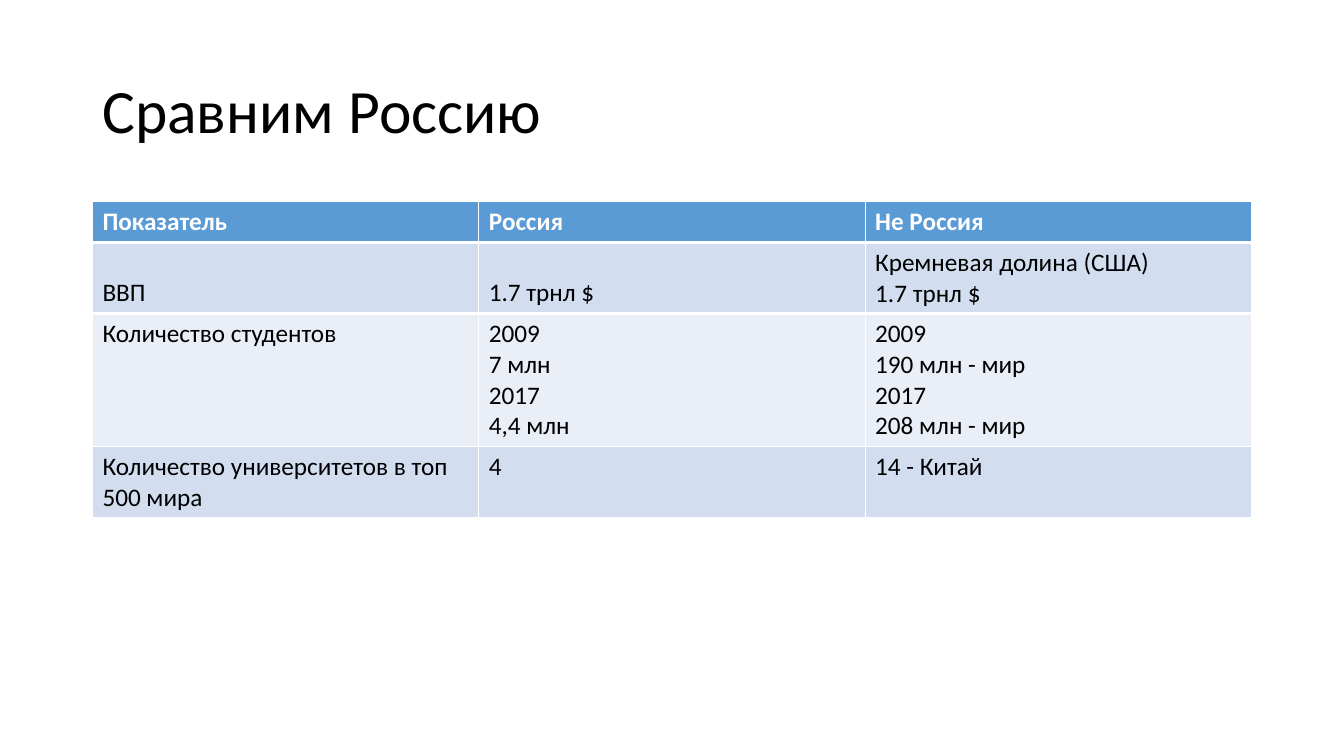
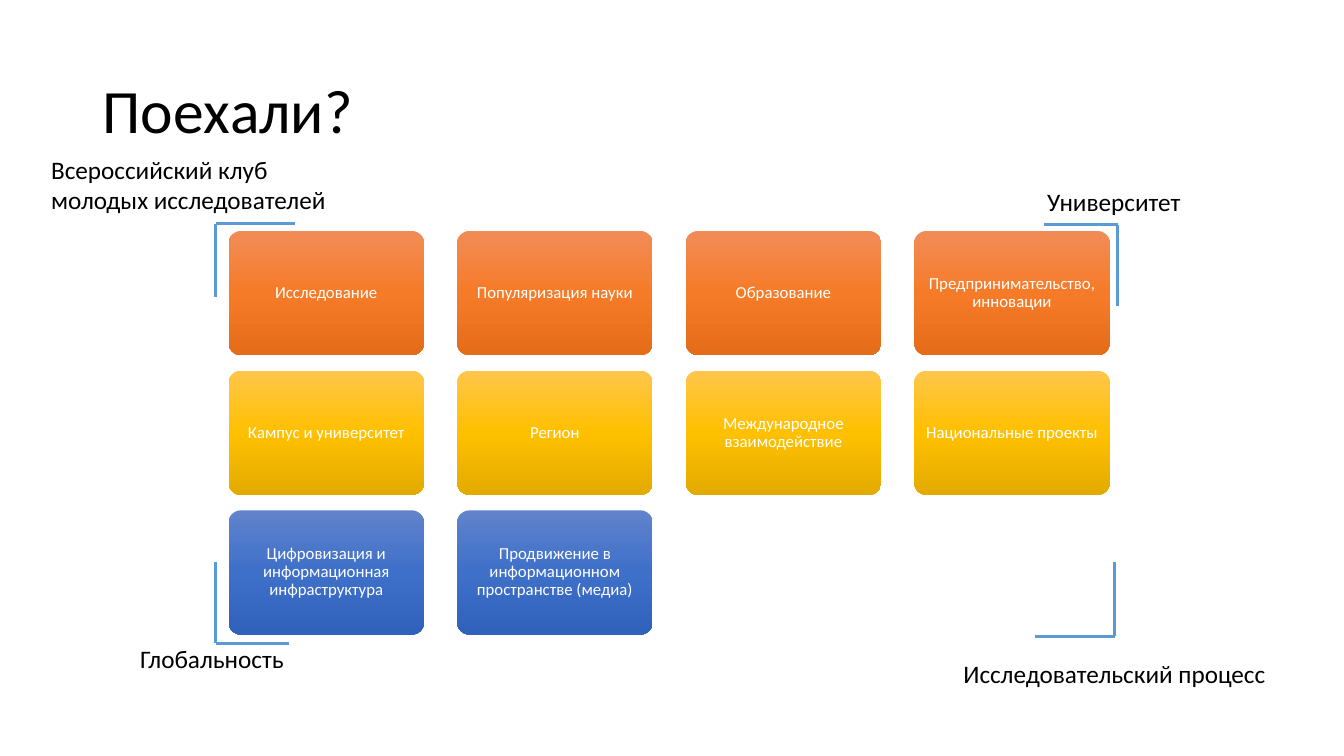
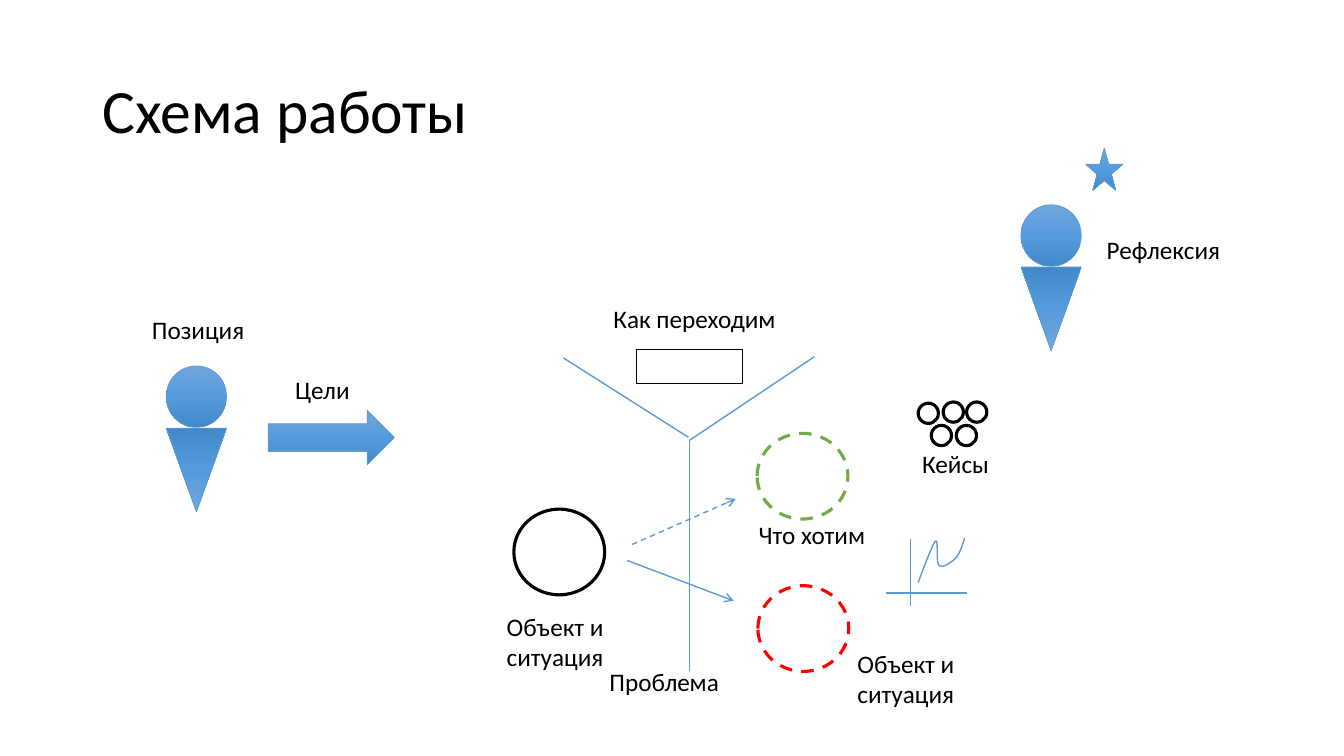
"""Build three slides: a comparison table, a grid of topics and a working scheme."""
import copy

import lxml.etree
import pptx
import pptx.dml.color
import pptx.enum.dml
import pptx.enum.shapes
import pptx.enum.text
import pptx.util
from pptx.oxml.ns import qn

Cm, Pt = pptx.util.Cm, pptx.util.Pt
SHAPE = pptx.enum.shapes.MSO_SHAPE
ANCHOR = pptx.enum.text.MSO_ANCHOR
ALIGN = pptx.enum.text.PP_ALIGN

FONT = "Calibri"
BLACK, WHITE, BLUE, RED, GREEN = "000000", "FFFFFF", "5B9BD5", "FF0000", "70AD47"
BLUE_FADE = ("71A6DB", "559BDB", "448ACA")

TITLES = ["Сравним Россию", "Поехали?", "Схема работы"]

TABLE_ROWS = [
    ["Показатель", "Россия", "Не Россия"],
    ["ВВП", "1.7 трнл $", "Кремневая долина (США)\n1.7 трнл $"],
    ["Количество студентов", "2009\n7 млн\n2017\n4,4 млн",
     "2009\n190 млн - мир\n2017\n208 млн - мир"],
    ["Количество университетов в топ 500 мира", "4", "14 - Китай"],
]
ROW_HEIGHTS = [1.03, 1.79, 3.35, 1.79]
ROW_FILLS = [BLUE, "D2DEEF", "EAEFF7", "D2DEEF"]
GDP_ROW = 1

CARD_ROWS = [
    (("F18C57", "F67B28", "E56C19"),
     ["Исследование", "Популяризация науки", "Образование", "Предпринимательство, инновации"]),
    (("FFC64B", "FFC000", "E3AB00"),
     ["Кампус и университет", "Регион", "Международное взаимодействие", "Национальные проекты"]),
    (("6183CB", "3E70CA", "3062BB"),
     ["Цифровизация и информационная инфраструктура",
      "Продвижение в информационном пространстве (медиа)"]),
]
CARD_LEFT, CARD_TOP, CARD_W, CARD_H = 5.76, 5.82, 4.93, 3.13
CARD_STEP_X, CARD_STEP_Y = 5.76, 3.52

CORNERS = [
    (5.44, 5.64, 7.44, 7.49),
    (28.17, 5.66, 26.31, 7.7),
    (5.44, 16.21, 7.29, 14.17),
    (28.09, 16.03, 26.09, 14.17),
]
CORNER_LABELS = [
    ("Всероссийский клуб\nмолодых исследователей", 1.04, 3.76, 7.57),
    ("Университет", 26.14, 4.57, 3.94),
    ("Исследовательский процесс", 24.03, 16.46, 8.26),
    ("Глобальность", 3.28, 16.08, 4.24),
]

SCHEME_LINES = [
    (17.37, 11.1, 17.37, 16.92),
    (14.2, 9.02, 17.35, 11.02),
    (20.52, 8.99, 17.37, 11.1),
    (22.94, 13.59, 22.94, 15.27),
    (24.36, 14.94, 22.33, 14.94),
]
SCHEME_ARROWS = [
    (15.8, 14.12, 18.49, 15.14, False),
    (15.93, 13.72, 18.54, 12.57, True),
]
SITUATIONS = [
    (12.95, 12.83, BLACK, False),
    (19.1, 14.76, RED, True),
    (19.08, 10.92, GREEN, True),
]
CASES = [(23.14, 10.16), (23.77, 10.13), (24.36, 10.13), (24.1, 10.72), (23.47, 10.72)]
PEOPLE = [(4.19, 9.22), (25.73, 5.16)]
GRAPH_START = (23.14, 14.68)
GRAPH_CURVES = [
    ((23.32, 14.2), (23.5, 13.72), (23.57, 13.64)),
    ((23.67, 13.56), (23.57, 14.17), (23.67, 14.25)),
    ((23.75, 14.33), (23.98, 14.17), (24.08, 14.07)),
    ((24.21, 13.94), (24.31, 13.56), (24.31, 13.56)),
]
SCHEME_LABELS = [
    ("Объект и\nситуация", 12.52, 15.27, 2.97),
    ("Что хотим", 18.87, 12.95, 3.25),
    ("Объект и\nситуация", 21.36, 16.21, 2.97),
    ("Как переходим", 15.21, 7.52, 4.67),
    ("Проблема", 15.11, 16.66, 3.33),
    ("Рефлексия", 27.64, 5.79, 3.43),
    ("Кейсы", 22.99, 11.18, 2.24),
    ("Позиция", 3.58, 7.8, 2.87),
    ("Цели", 7.19, 9.3, 1.91),
]


def rgb(color):
    return pptx.dml.color.RGBColor.from_string(color)


def write(tf, text, size, color=BLACK, bold=False, align=ALIGN.LEFT, spacing=1.0):
    tf.text = text
    for p in tf.paragraphs:
        p.font.name, p.font.size, p.font.bold = FONT, Pt(size), bold
        p.font.color.rgb = rgb(color)
        p.alignment, p.line_spacing = align, spacing


def set_line(line, color, width, dashed=False):
    line.color.rgb = rgb(color)
    line.width = Pt(width)
    if dashed:
        line.dash_style = pptx.enum.dml.MSO_LINE.DASH


def add_titled_slide(prs, title):
    s = prs.slides.add_slide(prs.slide_layouts[6])
    tf = s.shapes.add_textbox(Cm(2.33), Cm(1.01), Cm(29.21), Cm(3.68)).text_frame
    tf.word_wrap = True
    tf.vertical_anchor = ANCHOR.MIDDLE
    write(tf, title, 44, spacing=0.9)
    return s


def add_label(s, text, x, y, w):
    lines = text.count("\n") + 1
    tf = s.shapes.add_textbox(Cm(x), Cm(y), Cm(w), Cm(0.25 + 0.77 * lines)).text_frame
    tf.word_wrap = False
    write(tf, text, 18)


def add_line(s, x1, y1, x2, y2, width=1, dashed=False, arrow=False):
    line = s.shapes.add_connector(
        pptx.enum.shapes.MSO_CONNECTOR.STRAIGHT, Cm(x1), Cm(y1), Cm(x2), Cm(y2))
    set_line(line.line, BLUE, width, dashed)
    if arrow:
        lxml.etree.SubElement(line.get_or_add_ln(), qn("a:tailEnd"), type="arrow")
    lxml.etree.SubElement(line._element.spPr, qn("a:effectLst"))


def add_shape(s, kind, x, y, w, h):
    sp = s.shapes.add_shape(kind, Cm(x), Cm(y), Cm(w), Cm(h))
    sp.shadow.inherit = False
    return sp


def add_outline(s, kind, x, y, w, h, color=BLACK, width=2.25, dashed=False):
    sp = add_shape(s, kind, x, y, w, h)
    sp.fill.background()
    set_line(sp.line, color, width, dashed)


def fade(sp, colors):
    sp.fill.gradient()
    sp.fill.gradient_angle = 270
    stops = sp._element.spPr.find(qn("a:gradFill")).find(qn("a:gsLst"))
    stops.insert(1, copy.deepcopy(stops[0]))
    for i, (stop, color) in enumerate(zip(sp.fill.gradient_stops, colors)):
        stop.position = i / 2
        stop.color.rgb = rgb(color)


def add_blue(s, kind, x, y, w, h, rotation=0):
    sp = add_shape(s, kind, x, y, w, h)
    sp.rotation = rotation
    fade(sp, BLUE_FADE)
    set_line(sp.line, BLUE, 0.5)


def add_person(s, x, y):
    add_blue(s, SHAPE.ISOSCELES_TRIANGLE, x, y + 1.57, 1.52, 2.11, 180)
    add_blue(s, SHAPE.OVAL, x, y, 1.52, 1.55)


def bezier(points, t):
    weights = ((1 - t) ** 3, 3 * t * (1 - t) ** 2, 3 * t * t * (1 - t), t ** 3)
    return tuple(Cm(sum(k * p[axis] for k, p in zip(weights, points))) for axis in (0, 1))


def add_graph(s, start, curves, steps=10):
    points, pen = [], start
    for curve in curves:
        points += [bezier((pen, *curve), i / steps) for i in range(1, steps + 1)]
        pen = curve[-1]
    builder = s.shapes.build_freeform(Cm(start[0]), Cm(start[1]))
    builder.add_line_segments(points, close=False)
    sp = builder.convert_to_shape()
    sp.shadow.inherit = False
    sp.fill.background()
    set_line(sp.line, BLUE, 1)


def set_border(cell, side, color, width):
    border = lxml.etree.Element(qn(side), w=str(Pt(width)))
    fill = lxml.etree.SubElement(border, qn("a:solidFill"))
    lxml.etree.SubElement(fill, qn("a:srgbClr"), val=color)
    cell._tc.get_or_add_tcPr().insert(0, border)


def build_comparison(s):
    table = s.shapes.add_table(
        len(TABLE_ROWS), len(TABLE_ROWS[0]), Cm(2.33), Cm(5.08), Cm(29.21),
        Cm(sum(ROW_HEIGHTS))).table
    for i, (texts, height, fill) in enumerate(zip(TABLE_ROWS, ROW_HEIGHTS, ROW_FILLS)):
        table.rows[i].height = Cm(height)
        for j, text in enumerate(texts):
            cell = table.cell(i, j)
            cell.fill.solid()
            cell.fill.fore_color.rgb = rgb(fill)
            cell.vertical_anchor = ANCHOR.BOTTOM if i == GDP_ROW else ANCHOR.TOP
            write(cell.text_frame, text, 18, WHITE if i == 0 else BLACK, i == 0)
            if i < 2:
                set_border(cell, ("a:lnB", "a:lnT")[i], WHITE, 3)


def build_topics(s):
    for i, (colors, topics) in enumerate(CARD_ROWS):
        for j, topic in enumerate(topics):
            card = add_shape(s, SHAPE.ROUNDED_RECTANGLE, CARD_LEFT + j * CARD_STEP_X,
                             CARD_TOP + i * CARD_STEP_Y, CARD_W, CARD_H)
            card.adjustments[0] = 0.1
            fade(card, colors)
            card.line.fill.background()
            tf = card.text_frame
            tf.word_wrap = True
            tf.vertical_anchor = ANCHOR.MIDDLE
            tf.margin_left = tf.margin_right = tf.margin_top = tf.margin_bottom = Cm(0.2)
            write(tf, topic, 12, WHITE, align=ALIGN.CENTER, spacing=0.9)
    for x, y, arm_x, arm_y in CORNERS:
        add_line(s, x, y, arm_x, y, 2.25)
        add_line(s, x, y, x, arm_y, 2.25)
    for label in CORNER_LABELS:
        add_label(s, *label)


def build_scheme(s):
    for line in SCHEME_LINES:
        add_line(s, *line)
    for x, y, color, dashed in SITUATIONS:
        add_outline(s, SHAPE.OVAL, x, y, 2.29, 2.16, color, dashed=dashed)
    for x, y in CASES:
        add_outline(s, SHAPE.OVAL, x, y, 0.51, 0.51)
    add_graph(s, GRAPH_START, GRAPH_CURVES)
    add_outline(s, SHAPE.RECTANGLE, 16.05, 8.81, 2.67, 0.86, width=0.5)
    for x, y in PEOPLE:
        add_person(s, x, y)
    add_blue(s, SHAPE.RIGHT_ARROW, 6.76, 10.34, 3.18, 1.37)
    add_blue(s, SHAPE.STAR_5_POINT, 27.36, 3.73, 0.94, 1.07)
    for x1, y1, x2, y2, dashed in SCHEME_ARROWS:
        add_line(s, x1, y1, x2, y2, dashed=dashed, arrow=True)
    for label in SCHEME_LABELS:
        add_label(s, *label)


def main():
    prs = pptx.Presentation()
    prs.slide_width, prs.slide_height = Cm(33.87), Cm(19.05)
    for title, build in zip(TITLES, (build_comparison, build_topics, build_scheme)):
        build(add_titled_slide(prs, title))
    prs.save("out.pptx")


if __name__ == "__main__":
    main()
